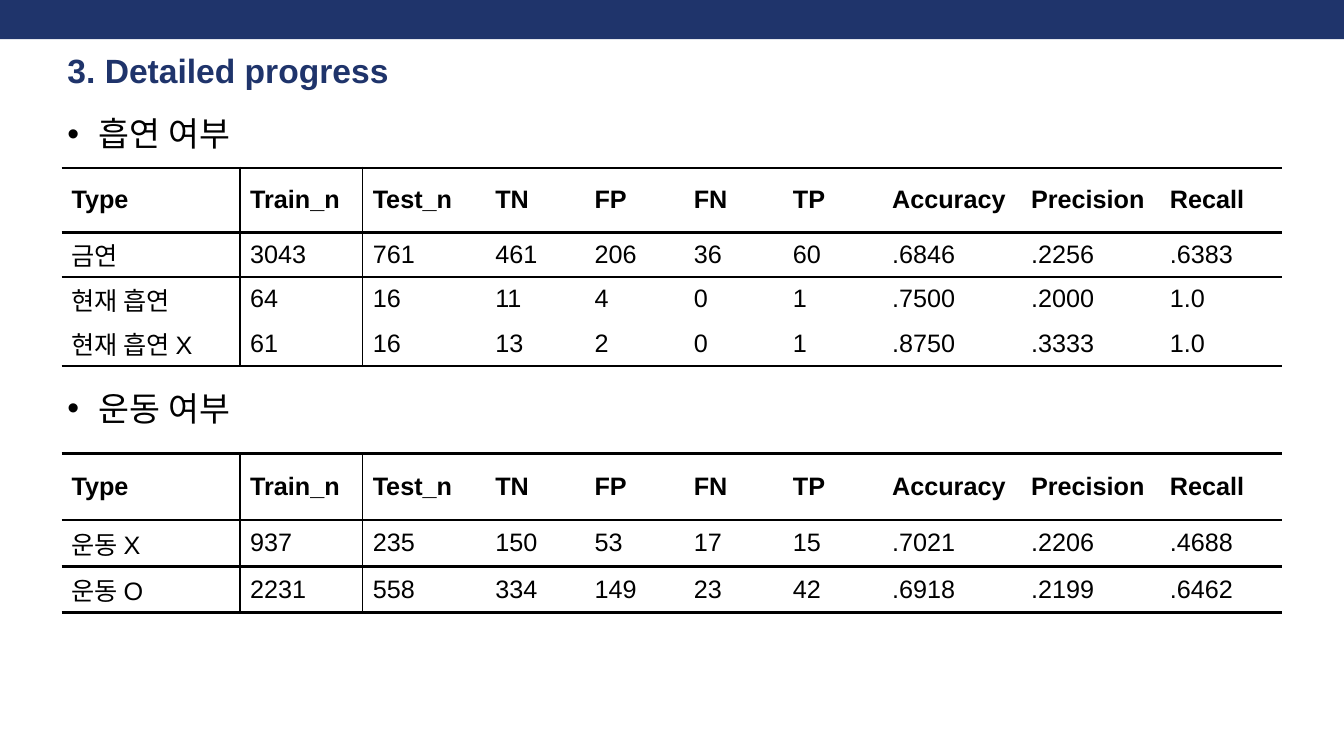
from lxml import etree
from pptx import Presentation
from pptx.dml.color import RGBColor
from pptx.enum.shapes import MSO_SHAPE
from pptx.enum.text import MSO_ANCHOR, MSO_AUTO_SIZE, PP_ALIGN
from pptx.oxml.ns import qn
from pptx.util import Cm, Pt

RECTANGLE = MSO_SHAPE.RECTANGLE
MIDDLE = MSO_ANCHOR.MIDDLE
GROW = MSO_AUTO_SIZE.SHAPE_TO_FIT_TEXT
LEFT = PP_ALIGN.LEFT

COLORS = {"navy": "1F346B", "black": "000000"}
NO_STYLE = "{2D5ABB26-0587-4C30-8999-92F81FD0307C}"
THICK, THIN = 2.25, 1
HEADER = ["Type", "Train_n", "Test_n", "TN", "FP", "FN", "TP",
          "Accuracy", "Precision", "Recall"]
COLUMN_WIDTHS = [4.5, 3.09, 3.09, 2.5, 2.5, 2.5, 2.5, 3.5, 3.5, 3.09]
TABLES = [
    {"top": 4.23, "header": 1.63, "row": 1.12, "rows": [
        ["금연", "3043", "761", "461", "206", "36", "60", ".6846", ".2256", ".6383"],
        ["현재 흡연", "64", "16", "11", "4", "0", "1", ".7500", ".2000", "1.0"],
        ["현재 흡연 X", "61", "16", "13", "2", "0", "1", ".8750", ".3333", "1.0"],
    ]},
    {"top": 11.43, "header": 1.67, "row": 1.17, "rows": [
        ["운동 X", "937", "235", "150", "53", "17", "15", ".7021", ".2206", ".4688"],
        ["운동 O", "2231", "558", "334", "149", "23", "42", ".6918", ".2199", ".6462"],
    ]},
]


def style_font(font, size, color, bold=False):
    values = {"name": "Arial", "size": Pt(size), "bold": bold}
    for name, value in values.items():
        setattr(font, name, value)
    font.color.rgb = RGBColor.from_string(COLORS[color])


def add_border(cell, side, width):
    properties = cell._tc.get_or_add_tcPr()
    line = etree.SubElement(properties, qn(f"a:ln{side}"), w=str(Pt(width)))
    fill = etree.SubElement(line, qn("a:solidFill"))
    etree.SubElement(fill, qn("a:srgbClr"), val=COLORS["black"])


deck = Presentation()
deck.slide_width, deck.slide_height = Cm(33.87), Cm(19.05)
page = deck.slides.add_slide(deck.slide_layouts[1])
title, body = page.placeholders

banner = page.shapes.add_shape(RECTANGLE, 0, 0, deck.slide_width, Cm(0.99))
banner.shadow.inherit = False
banner.fill.solid()
banner.fill.fore_color.rgb = RGBColor.from_string(COLORS["navy"])
banner.line.fill.background()

for box, place in ((title, (1.7, 1.24, 31.55, 1.07)), (body, (1.7, 2.97, 15.04, 8.2))):
    box.left, box.top, box.width, box.height = map(Cm, place)
    frame = box.text_frame
    frame.margin_left = frame.margin_right = frame.margin_top = frame.margin_bottom = 0
    frame.word_wrap = True
    frame.auto_size = GROW

title.text_frame.text = "3. Detailed progress"
heading = title.text_frame.paragraphs[0]
heading.alignment = LEFT
style_font(heading.runs[0].font, 24, "navy", True)

body.text_frame.text = "흡연 여부\n운동 여부"
for para, gap in zip(body.text_frame.paragraphs, (0, 170)):
    para.space_before = Pt(gap)
    para.line_spacing = 0.9
    properties = para._p.get_or_add_pPr()
    properties.set("marL", str(Cm(0.79)))
    properties.set("indent", str(-Cm(0.79)))
    etree.SubElement(properties, qn("a:buChar"), char="•")
    style_font(para.runs[0].font, 24, "black")

for data in TABLES:
    rows = [HEADER] + data["rows"]
    heights = [data["header"]] + [data["row"]] * len(data["rows"])
    frame = page.shapes.add_table(len(rows), len(HEADER), Cm(1.55), Cm(data["top"]),
                                  Cm(sum(COLUMN_WIDTHS)), Cm(sum(heights)))
    table = frame.table
    table.horz_banding = False
    table._tbl.tblPr.find(qn("a:tableStyleId")).text = NO_STYLE
    for column, width in zip(table.columns, COLUMN_WIDTHS):
        column.width = Cm(width)
    for row_index, (values, height) in enumerate(zip(rows, heights)):
        table.rows[row_index].height = Cm(height)
        is_header = row_index == 0
        for column_index, value in enumerate(values):
            cell = table.cell(row_index, column_index)
            cell.text = value
            cell.vertical_anchor = MIDDLE
            cell.margin_top = cell.margin_bottom = Cm(0.08)
            style_font(cell.text_frame.paragraphs[0].runs[0].font, 18, "black", is_header)
            if column_index == 1:
                add_border(cell, "L", THIN)
            if column_index == 0:
                add_border(cell, "R", THIN)
            if row_index <= 1:
                add_border(cell, "T", THICK)
            if is_header or row_index == len(rows) - 1:
                add_border(cell, "B", THICK)
            cell.fill.background()

deck.save("out.pptx")
